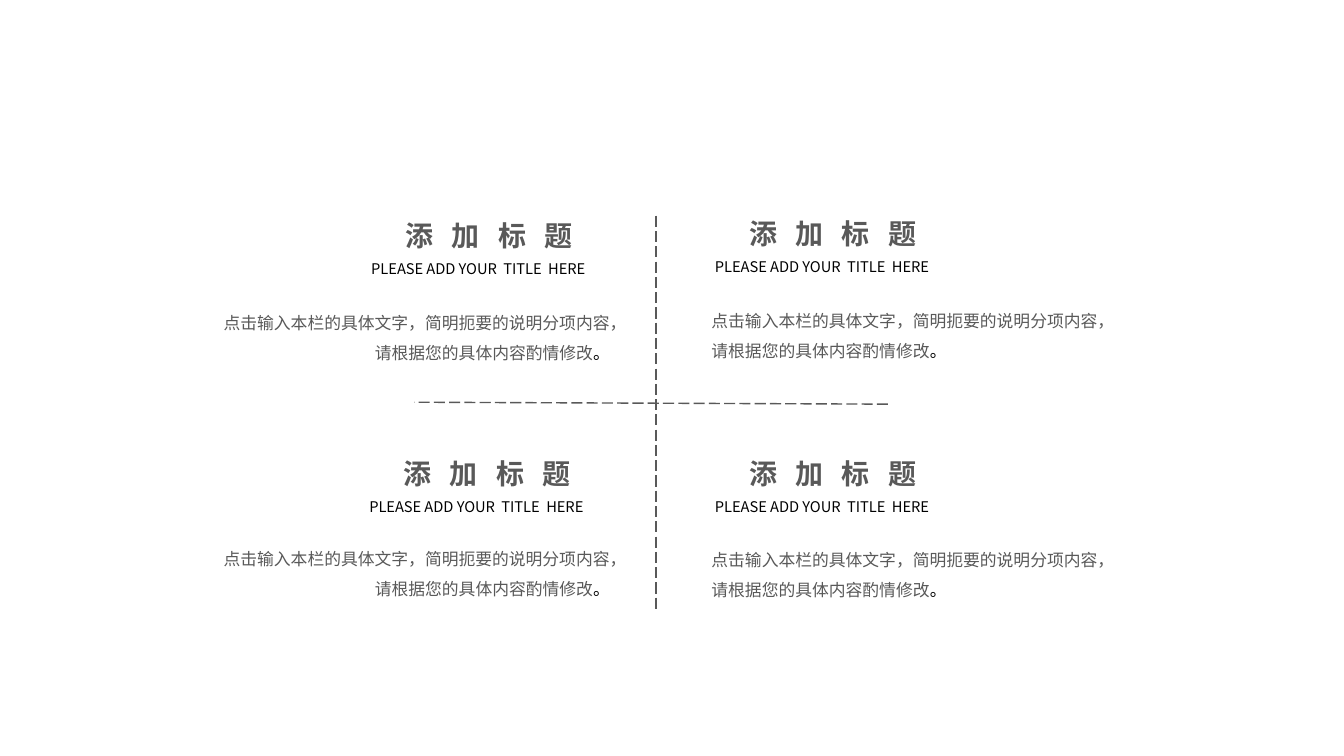
from pptx import Presentation
from pptx.dml.color import RGBColor
from pptx.enum.dml import MSO_LINE
from pptx.enum.shapes import MSO_CONNECTOR as CONNECTOR
from pptx.enum.text import MSO_AUTO_SIZE as AUTO_SIZE, PP_ALIGN as ALIGN
from pptx.oxml.ns import qn
from pptx.util import Pt
from lxml.etree import SubElement

FONT = "Noto Sans CJK SC"
GRAY, BLACK = "595959", "000000"
TITLE = "添加标题"
SUBTITLE = "PLEASE ADD YOUR  TITLE  HERE"
BODY = "点击输入本栏的具体文字，简明扼要的说明分项内容，请根据您的具体内容酌情修改"

# Heading left, heading top, body left, body top, body alignment
QUADRANTS = [
    (255.6, 156.2, 149.8, 216, ALIGN.RIGHT),
    (501.1, 154.8, 501.1, 214.6, ALIGN.LEFT),
    (254.2, 326.2, 149.8, 384.5, ALIGN.RIGHT),
    (501.1, 326.2, 501.1, 385.2, ALIGN.LEFT),
]


def color(value):
    return RGBColor.from_string(value)


def add_text(shapes, box, runs, size, align=ALIGN.LEFT, line_spacing=1.0,
             bold=False, spacing=0, inset=7.2):
    shape = shapes.add_textbox(*(Pt(length) for length in box))
    frame = shape.text_frame
    frame_format = {
        "word_wrap": True, "auto_size": AUTO_SIZE.SHAPE_TO_FIT_TEXT,
        "margin_left": Pt(inset), "margin_right": Pt(7.2),
        "margin_top": 0, "margin_bottom": 0,
    }
    for name, value in frame_format.items():
        setattr(frame, name, value)
    paragraph = frame.paragraphs[0]
    paragraph.alignment = align
    paragraph.line_spacing = line_spacing
    for text, text_color in runs:
        run = paragraph.add_run()
        run.text = text
        for name, value in {"name": FONT, "size": Pt(size), "bold": bold}.items():
            setattr(run.font, name, value)
        run.font.color.rgb = color(text_color)
        properties = run._r.get_or_add_rPr()
        SubElement(properties, qn("a:ea"), typeface=FONT)
        if spacing:
            properties.set("spc", str(spacing * 100))


def add_heading(slide, left, top):
    shapes = slide.shapes.add_group_shape().shapes
    add_text(shapes, (left + 19.5, top, 148.3, 29), [(TITLE, GRAY)], 20,
             align=ALIGN.CENTER, bold=True, spacing=13)
    add_text(shapes, (left, top + 29.5, 169.9, 15.2), [(SUBTITLE, BLACK)], 10.5,
             inset=9.6)


def add_body(slide, left, top, align):
    add_text(slide.shapes, (left, top, 293, 52), [(BODY, GRAY), ("。", BLACK)], 12,
             align=align, line_spacing=1.5)


def add_divider(slide, *ends):
    connector = slide.shapes.add_connector(
        CONNECTOR.STRAIGHT, *(Pt(length) for length in ends))
    connector.line.color.rgb = color(GRAY)
    for name, value in {"width": Pt(1), "dash_style": MSO_LINE.LONG_DASH}.items():
        setattr(connector.line, name, value)
    SubElement(connector._element.spPr, qn("a:effectLst"))


def main():
    presentation = Presentation()
    presentation.slide_width, presentation.slide_height = Pt(960), Pt(540)
    slide = presentation.slides.add_slide(presentation.slide_layouts[6])

    # Dashed cross
    add_divider(slide, 634.3, 288.7, 295.9, 287.3)
    add_divider(slide, 468.7, 154.1, 468.7, 434.9)

    # Four quadrants
    for heading_left, heading_top, body_left, body_top, align in QUADRANTS:
        add_heading(slide, heading_left, heading_top)
        add_body(slide, body_left, body_top, align)

    presentation.save("out.pptx")


if __name__ == "__main__":
    main()
